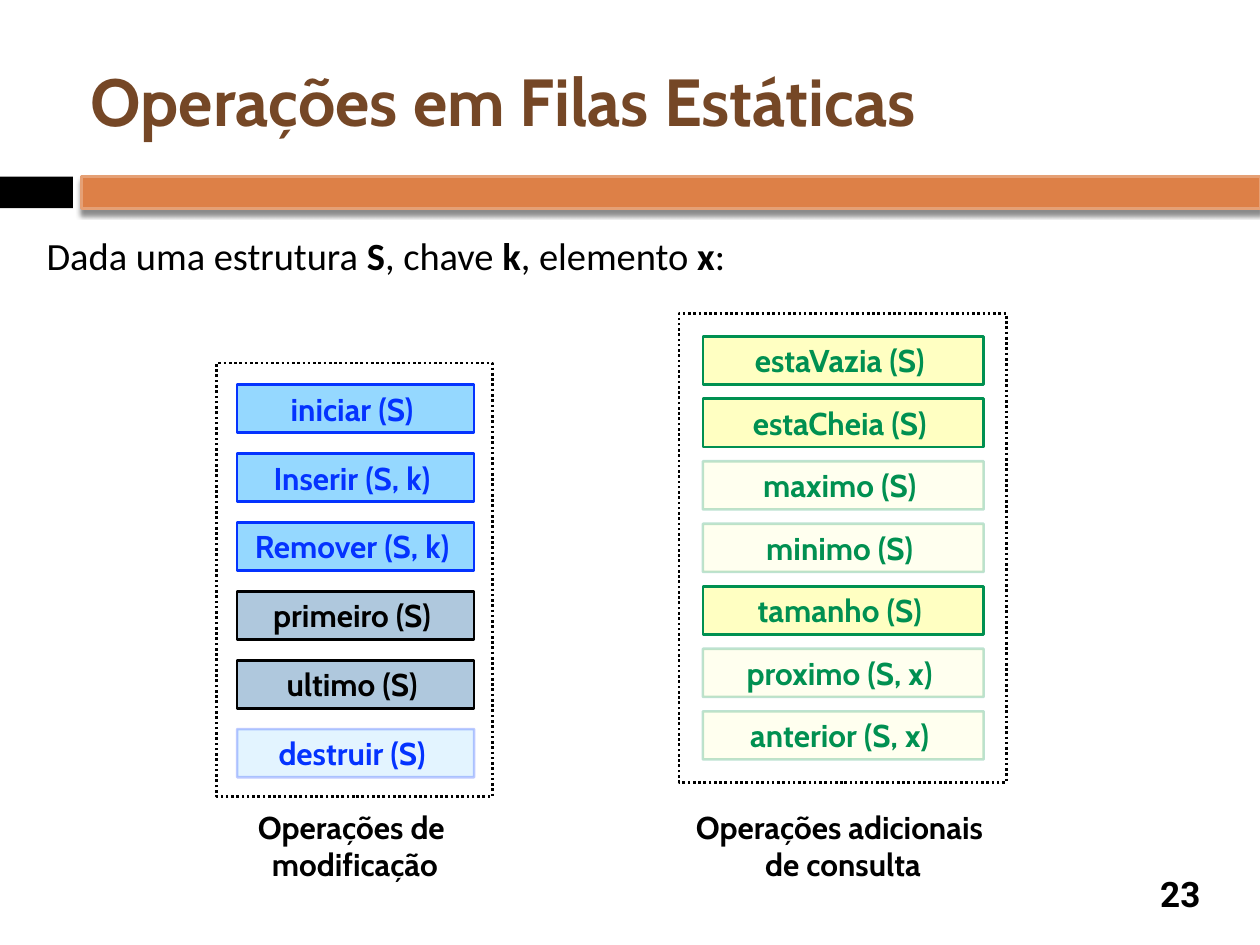
"""Builds the slide on operations for static queues."""
from lxml.etree import SubElement
from pptx import Presentation
from pptx.dml.color import RGBColor
from pptx.enum.dml import MSO_LINE
from pptx.enum.shapes import MSO_SHAPE
from pptx.enum.text import MSO_ANCHOR as Anchor, MSO_AUTO_SIZE as AutoSize, PP_ALIGN as Align
from pptx.oxml import parse_xml
from pptx.oxml.ns import nsdecls, qn
from pptx.util import Cm, Pt

BLACK = RGBColor(0x00, 0x00, 0x00)
BROWN = RGBColor(0x75, 0x47, 0x26)
ORANGE = RGBColor(0xDD, 0x80, 0x47)
PEACH = RGBColor(0xE5, 0xA0, 0x75)
GREEN = RGBColor(0x00, 0x90, 0x51)
YELLOW = RGBColor(0xFF, 0xFF, 0xC2)
BLUE = RGBColor(0x04, 0x33, 0xFF)
SKY = RGBColor(0x95, 0xD8, 0xFF)
STEEL = RGBColor(0xAF, 0xC8, 0xDD)


def write(shape, text, size=18, font="Cabin", color=BLACK, bold=True,
          align=Align.CENTER, anchor=Anchor.MIDDLE, wrap=True):
    """Fills a shape with text; parts between asterisks switch the weight."""
    frame = shape.text_frame
    frame.word_wrap = wrap
    frame.auto_size = AutoSize.NONE
    frame.vertical_anchor = anchor
    frame.margin_left = frame.margin_right = Cm(0.13)
    frame.margin_top = frame.margin_bottom = Cm(0.13)
    for number, line in enumerate(text.split("\n")):
        para = frame.add_paragraph() if number else frame.paragraphs[0]
        para.alignment = align
        para.space_before = Pt(0)
        for index, part in enumerate(line.split("*")):
            span = para.add_run()
            span.text = part
            span.font.name = font
            span.font.size = Pt(size)
            span.font.color.rgb = color
            span.font.bold = bold != (index % 2 == 1)


def add_box(left, top, width, height, fill=None, line=None, opacity=100):
    """Adds a rectangle without shadow, optionally see-through."""
    box = slide.shapes.add_shape(MSO_SHAPE.RECTANGLE, Cm(left), Cm(top), Cm(width), Cm(height))
    box.shadow.inherit = False
    if fill is None:
        box.fill.background()
    else:
        box.fill.solid()
        box.fill.fore_color.rgb = fill
    if line is None:
        box.line.fill.background()
    else:
        box.line.color.rgb = line
        box.line.width = Pt(1.5)
    if opacity < 100:
        for color in box._element.spPr.iter(qn("a:srgbClr")):
            SubElement(color, qn("a:alpha"), val=str(opacity * 1000))
    return box


deck = Presentation()
deck.slide_width, deck.slide_height = Cm(25.4), Cm(19.05)
slide = deck.slides.add_slide(deck.slide_layouts[1])

add_box(0, 3.56, 1.47, 0.64, fill=BLACK)
bar = add_box(1.65, 3.56, 23.75, 0.64, fill=ORANGE, line=PEACH)
bar._element.spPr.find(qn("a:effectLst")).append(parse_xml(
    f'<a:outerShdw {nsdecls("a")} blurRad="{Pt(3)}" dist="{Pt(2.4)}" dir="5400000" rotWithShape="0">'
    '<a:srgbClr val="000000"><a:alpha val="45000"/></a:srgbClr></a:outerShdw>'))

title = slide.shapes.title
title.left, title.top, title.width, title.height = Cm(1.7), Cm(0.64), Cm(22.66), Cm(2.74)
write(title, "Operações em Filas Estáticas", size=38, color=BROWN, align=Align.LEFT)

body = slide.placeholders[1]
body.left, body.top, body.width, body.height = Cm(0.81), Cm(4.55), Cm(22.86), Cm(1.6)
write(body, "Dada uma estrutura *S*, chave *k*, elemento *x*:", size=22, font="Calibri",
      bold=False, align=Align.LEFT, anchor=Anchor.TOP)
properties = body.text_frame.paragraphs[0]._p.get_or_add_pPr()
properties.set("marL", "0")
properties.set("indent", "0")
SubElement(properties, qn("a:buNone"))

blue_style = (SKY, BLUE, BLUE, 100)
pale_blue_style = (SKY, BLUE, BLUE, 26)
steel_style = (STEEL, BLACK, BLACK, 100)
green_style = (YELLOW, GREEN, GREEN, 100)
pale_green_style = (YELLOW, GREEN, GREEN, 26)

groups = [
    ((4.37, 7.32, 5.56, 8.74), 4.78, 7.75, 4.78, 1.39,
     "Operações de \nmodificação", (5.11, 4.09),
     [("iniciar (S)", blue_style), ("Inserir (S, k)", blue_style),
      ("Remover (S, k)", blue_style), ("primeiro (S)", steel_style),
      ("ultimo (S)", steel_style), ("destruir (S)", pale_blue_style)]),
    ((13.69, 6.32, 6.6, 9.45), 14.17, 6.78, 5.66, 1.26,
     "Operações adicionais \nde consulta", (13.92, 6.15),
     [("estaVazia (S)", green_style), ("estaCheia (S)", green_style),
      ("maximo (S)", pale_green_style), ("minimo (S)", pale_green_style),
      ("tamanho (S)", green_style), ("proximo (S, x)", pale_green_style),
      ("anterior (S, x)", pale_green_style)]),
]
for border, left, top, width, pitch, caption, (caption_left, caption_width), operations in groups:
    outline = add_box(*border, line=BLACK)
    outline.line.dash_style = MSO_LINE.ROUND_DOT
    for row, (operation, (fill, line, ink, opacity)) in enumerate(operations):
        box = add_box(left, top + row * pitch, width, 0.97, fill, line, opacity)
        write(box, f"{operation} ", color=ink)
    label = slide.shapes.add_textbox(Cm(caption_left), Cm(16.15), Cm(caption_width), Cm(1.6))
    write(label, caption, anchor=Anchor.TOP, wrap=False)

page_number = slide.shapes.add_textbox(Cm(23.06), Cm(17.5), Cm(1.47), Cm(1.04))
write(page_number, "23", size=20, font="Roboto")

deck.save("out.pptx")
